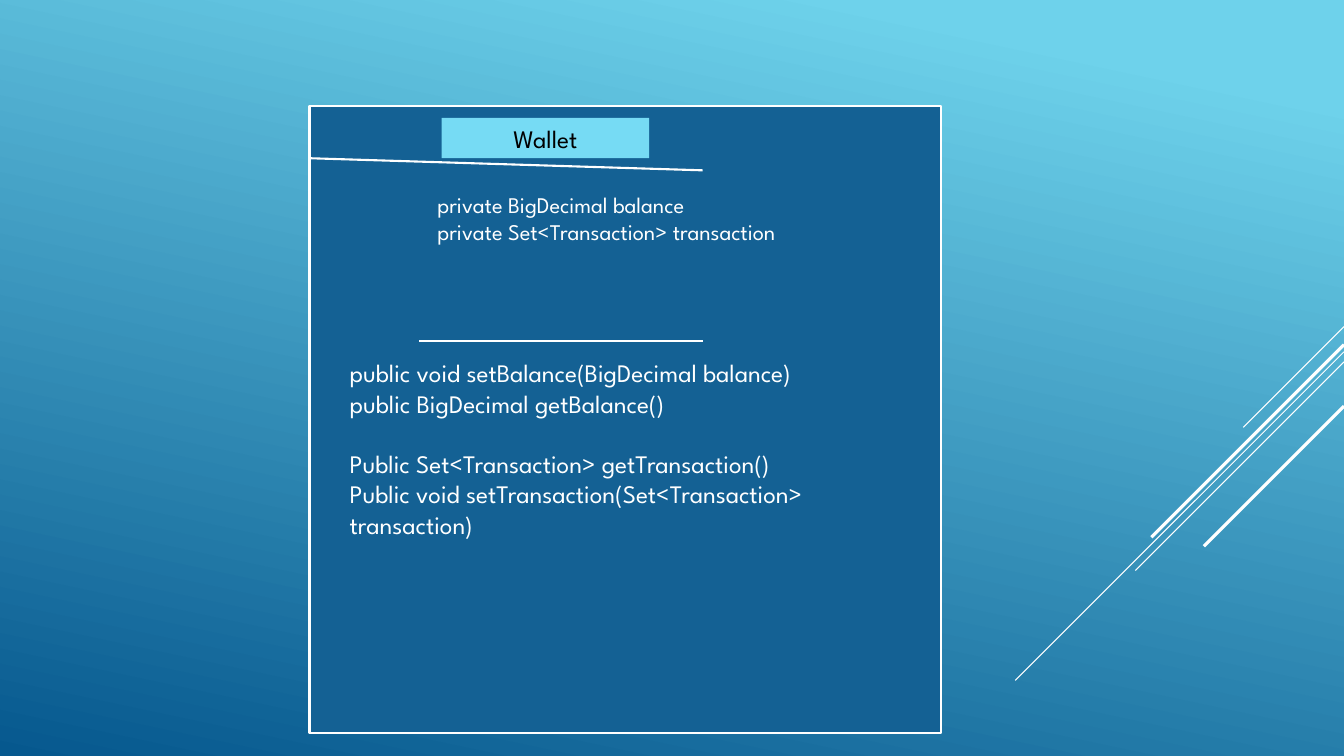
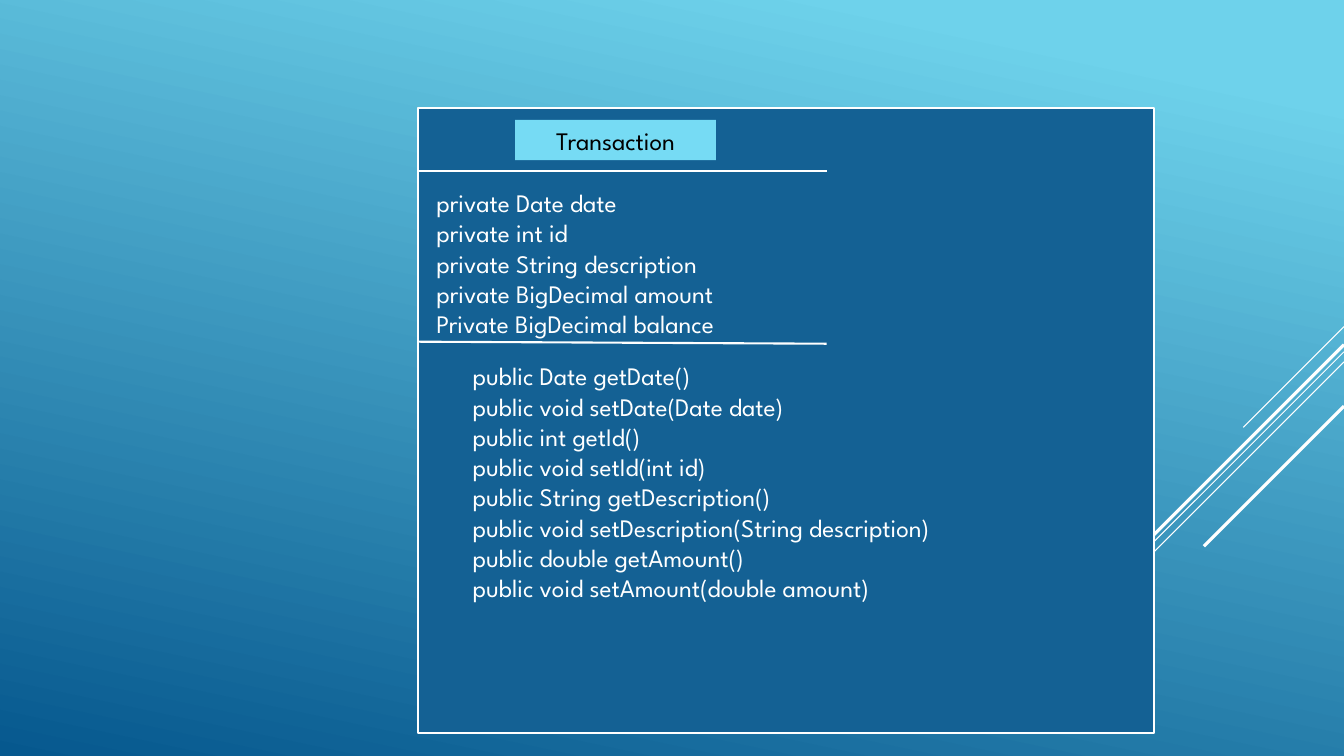
from pptx import Presentation
from pptx.dml.color import RGBColor
from pptx.enum.shapes import MSO_CONNECTOR, MSO_SHAPE
from pptx.enum.text import MSO_ANCHOR, PP_ALIGN
from pptx.oxml.ns import qn
from pptx.util import Inches, Pt
from lxml import etree

RECT = MSO_SHAPE.RECTANGLE
LINE = MSO_CONNECTOR.STRAIGHT
LEFT, CENTER = PP_ALIGN.LEFT, PP_ALIGN.CENTER
TOP, MIDDLE = MSO_ANCHOR.TOP, MSO_ANCHOR.MIDDLE
FONT = "League Spartan"
WIDE, HIGH = 13.33, 7.5
COLORS = {"light": "6ED2EB", "dark": "06588E", "card": "146194",
          "tag": "76DBF4", "white": "FFFFFF", "black": "000000"}
RAYS = [(3.24, 1, 0.75), (3.49, 3.26, 0.75), (3.59, 2.07, 0.75),
        (3.42, 1.91, 2.25), (4.03, 1.39, 2.25)]


def color(name):
    """Return the named colour."""
    return RGBColor.from_string(COLORS[name])


def write(shape, lines, size=18, ink="white", align=LEFT, anchor=TOP, gaps=()):
    """Write one paragraph per line, with a line of space before those in gaps."""
    frame = shape.text_frame
    frame.word_wrap = True
    frame.vertical_anchor = anchor
    for i, line in enumerate(lines):
        para = frame.add_paragraph() if i else frame.paragraphs[0]
        para.alignment = align
        if i in gaps:
            para.space_before = Pt(size * 1.2)
        run = para.add_run()
        run.text = line
        run.font.name = FONT
        run.font.size = Pt(size)
        run.font.color.rgb = color(ink)


def rule(slide, start, end, weight=1.5):
    """Draw a plain white line."""
    line = slide.shapes.add_connector(LINE, *map(Inches, start + end))
    line.line.color.rgb = color("white")
    line.line.width = Pt(weight)
    etree.SubElement(line._element.spPr, qn("a:effectLst"))


def block(slide, box, fill, edge=None):
    """Draw a filled rectangle with an optional outline."""
    shape = slide.shapes.add_shape(RECT, *map(Inches, box))
    shape.shadow.inherit = False
    shape.fill.solid()
    shape.fill.fore_color.rgb = color(fill)
    if edge:
        shape.line.color.rgb = color(edge)
        shape.line.width = Pt(1.5)
    else:
        shape.line.fill.background()
    return shape


def backdrop(master):
    """Give the master its slanted gradient."""
    fill = master.background.fill
    fill.gradient()
    fill.gradient_angle = 360 - 102
    for stop, name, pos in zip(fill.gradient_stops, ("light", "dark"), (0.1, 1)):
        stop.color.rgb = color(name)
        stop.position = pos


def rays(slide):
    """Draw the diagonal lines that run down from the right edge."""
    for top, run, weight in RAYS:
        rule(slide, (WIDE, top), (WIDE - run, top + run), weight)


def card(deck, box, name, tag, rules, parts):
    """Build a class diagram slide, with all parts placed relative to box."""
    slide = deck.slides.add_slide(deck.slide_layouts[6])
    rays(slide)
    left, top = box[:2]
    block(slide, box, "card", "white")
    for x, y, end, drop in rules:
        rule(slide, (left + x, top + y), (left + end, top + y + drop))
    inset, width = tag
    label = block(slide, (left + inset, top + 0.12, width, 0.4), "tag")
    write(label, [name], ink="black", align=CENTER, anchor=MIDDLE)
    for (x, y, w, h), lines, style in parts:
        area = slide.shapes.add_textbox(
            *map(Inches, (left + x, top + y, w, h)))
        write(area, lines, **style)


deck = Presentation()
deck.slide_width, deck.slide_height = Inches(WIDE), Inches(HIGH)
backdrop(deck.slide_master)

card(deck, (3.07, 1.05, 6.26, 6.22), "Wallet", (1.31, 2.06),
     [(0, 0.52, 3.9, 0.12), (1.09, 2.33, 3.9, 0)],
     [((1.17, 0.8, 4.2, 0.64),
       ["private BigDecimal balance",
        "private Set<Transaction> transaction"], {"size": 16}),
      ((0.3, 2.45, 5.96, 2.83),
       ["public void setBalance(BigDecimal balance)",
        "public BigDecimal getBalance()",
        "Public Set<Transaction> getTransaction()",
        "Public void setTransaction(Set<Transaction> transaction)"],
       {"gaps": (2,)})])

card(deck, (4.15, 1.07, 7.3, 6.2), "Transaction", (0.96, 1.99),
     [(0, 0.63, 4.05, 0), (0, 2.32, 4.05, 0.02)],
     [((0.08, 0.74, 3.77, 1.92),
       ["private Date date",
        "private int id",
        "private String description",
        "private BigDecimal amount",
        "Private BigDecimal balance"], {}),
      ((0.44, 2.46, 8.38, 2.83),
       ["public Date getDate()",
        "public void setDate(Date date)",
        "public int getId()",
        "public void setId(int id)",
        "public String getDescription()",
        "public void setDescription(String description)",
        "public double getAmount()",
        "public void setAmount(double amount)"], {})])

deck.save("out.pptx")
